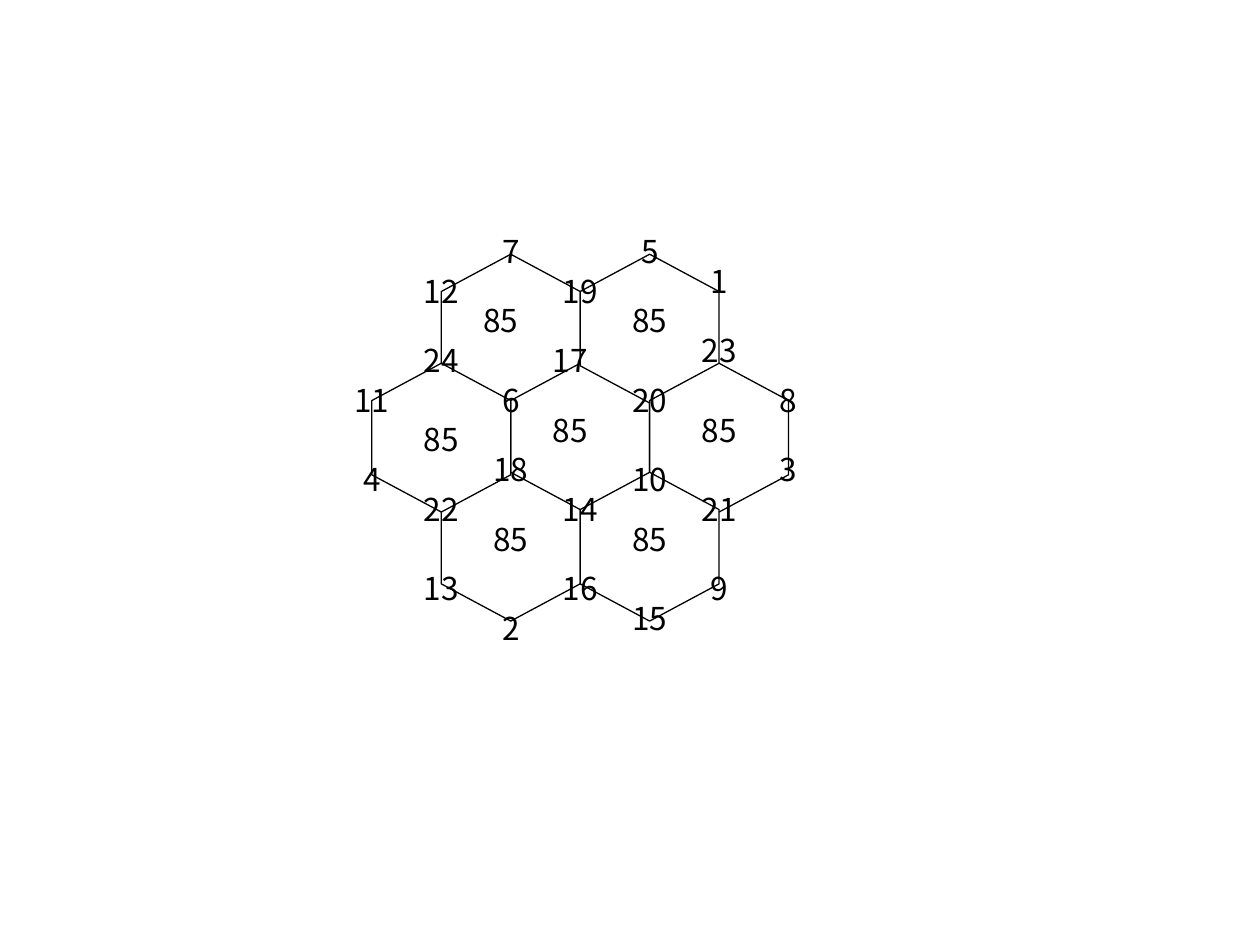
"""Build a slide with a magic honeycomb of seven hexagons whose corners each sum to 85."""
from pptx import Presentation
from pptx import util as u
from pptx.dml.color import RGBColor
from pptx.enum import shapes, text

COLORS = {"paper": "FFFFFF", "ink": "000000"}
FONT = {"name": "Noto Sans CJK KR", "size": u.Pt(18)}
FRAME = {"word_wrap": False, "auto_size": text.MSO_AUTO_SIZE.SHAPE_TO_FIT_TEXT,
         "margin_left": u.Pt(7.2), "margin_right": u.Pt(7.2),
         "margin_top": u.Pt(3.6), "margin_bottom": u.Pt(3.6)}

# (half-cell column, row)
CELLS = [(2, 0), (3, 1), (4, 0), (2, 2), (5, 1), (4, 2), (1, 1)]
# (number, grid step across, grid step down)
CORNERS = [
    (7, 14, 0), (12, 7, 4), (24, 7, 11), (6, 14, 15), (17, 20, 11), (19, 21, 4),
    (5, 28, 0), (20, 28, 15), (23, 35, 10), (1, 35, 3), (11, 0, 15), (4, 0, 23),
    (22, 7, 26), (18, 14, 22), (13, 7, 34), (2, 14, 38), (16, 21, 34), (14, 21, 26),
    (10, 28, 23), (15, 28, 37), (9, 35, 34), (21, 35, 26), (8, 42, 15), (3, 42, 22),
]
SUMS = [(85, 13, 7), (85, 28, 7), (85, 7, 19), (85, 20, 18),
        (85, 35, 18), (85, 14, 29), (85, 28, 29)]

LEFT, LABEL_TOP, STEP = 212.5, 129, 5.67
FIRST_ROW, ROW_PITCH = 187.8, 62.3
HALF_CELL = 7 * STEP
CELL_LENGTH, CELL_WIDTH = 85, 2 * HALF_CELL
LABEL_WIDTHS, LABEL_HEIGHT = {1: 24.4, 2: 34.6}, 29


def apply(target, values):
    for name, value in values.items():
        setattr(target, name, value)


def color(name):
    return RGBColor.from_string(COLORS[name])


def add_cell(group, column, row):
    center_x = LEFT + column * HALF_CELL
    center_y = FIRST_ROW + row * ROW_PITCH
    shape = group.shapes.add_shape(
        shapes.MSO_SHAPE.HEXAGON,
        u.Pt(center_x - CELL_LENGTH / 2), u.Pt(center_y - CELL_WIDTH / 2),
        u.Pt(CELL_LENGTH), u.Pt(CELL_WIDTH))
    shape.adjustments[0] = 0.268
    shape.rotation = 270
    shape.shadow.inherit = False
    shape.fill.solid()
    shape.fill.fore_color.rgb = color("paper")
    shape.line.color.rgb = color("ink")
    shape.line.width = u.Pt(0.75)


def add_label(group, number, across, down):
    label = str(number)
    width = LABEL_WIDTHS[len(label)]
    box = group.shapes.add_textbox(
        u.Pt(LEFT + across * STEP - width / 2), u.Pt(LABEL_TOP + down * STEP),
        u.Pt(width), u.Pt(LABEL_HEIGHT))
    apply(box.text_frame, FRAME)
    paragraph = box.text_frame.paragraphs[0]
    paragraph.alignment = text.PP_ALIGN.CENTER
    run = paragraph.add_run()
    run.text = label
    apply(run.font, FONT)
    run.font.color.rgb = color("ink")


def main():
    presentation = Presentation()
    presentation.slide_width, presentation.slide_height = u.Pt(720), u.Pt(540)
    slide = presentation.slides.add_slide(presentation.slide_layouts[6])
    honeycomb = slide.shapes.add_group_shape()
    for cell in CELLS:
        add_cell(honeycomb, *cell)
    for entry in CORNERS + SUMS:
        add_label(honeycomb, *entry)
    presentation.save("out.pptx")


if __name__ == "__main__":
    main()
